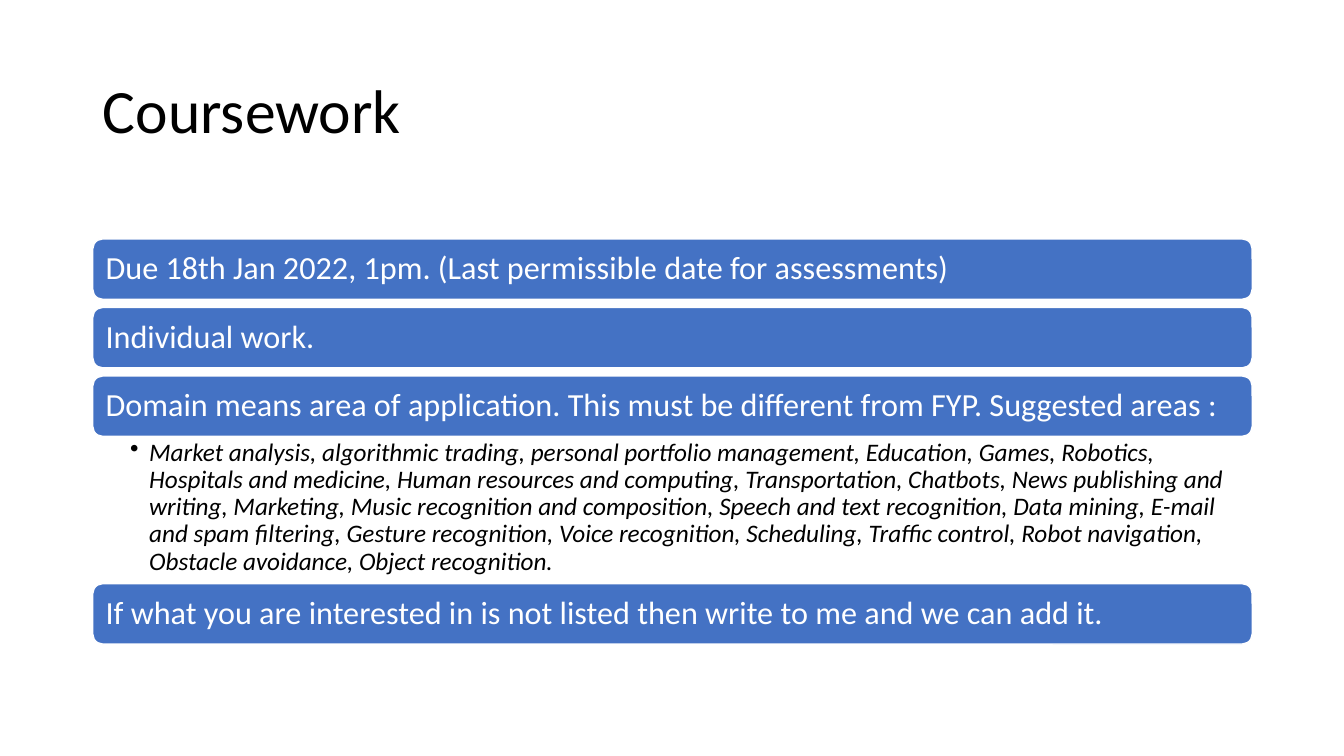
import dataclasses

import lxml.etree
import pptx
import pptx.dml.color
import pptx.enum.shapes
import pptx.enum.text
import pptx.oxml.ns
import pptx.util

Inches = pptx.util.Inches
Anchor = pptx.enum.text.MSO_ANCHOR
Align = pptx.enum.text.PP_ALIGN


@dataclasses.dataclass(frozen=True)
class Theme:
    font: str = "Calibri"
    black: str = "000000"
    white: str = "FFFFFF"
    blue: str = "4472C4"
    title_size: int = 44
    bar_size: int = 23
    detail_size: int = 18


THEME = Theme()
LEFT, WIDTH = 0.92, 11.5
BARS_TOP, BAR_HEIGHT, BAR_GAP = 2.37, 0.6, 0.08
DETAIL_HEIGHT = 1.46

# Each entry is a bar heading and the detail listed below it, if any.
ENTRIES = [
    ("Due 18th Jan 2022, 1pm. (Last permissible date for assessments)", None),
    ("Individual work.", None),
    (
        "Domain means area of application. This must be different from FYP. Suggested areas :",
        "Market analysis, algorithmic trading, personal portfolio management, Education, "
        "Games, Robotics, Hospitals and medicine, Human resources and computing, "
        "Transportation, Chatbots, News publishing and writing, Marketing, Music recognition "
        "and composition, Speech and text recognition, Data mining, E-mail and spam filtering, "
        "Gesture recognition, Voice recognition, Scheduling, Traffic control, Robot navigation, "
        "Obstacle avoidance, Object recognition.",
    ),
    ("If what you are interested in is not listed then write to me and we can add it.", None),
]


def set_attributes(target, values):
    for name, value in values.items():
        setattr(target, name, value)


def write_text(shape, text, size, color, anchor, insets, italic=False):
    """Fill a shape with one left-aligned paragraph; insets are left, top, right, bottom."""
    frame = shape.text_frame
    sides = ("margin_left", "margin_top", "margin_right", "margin_bottom")
    set_attributes(frame, {
        "text": text,
        "word_wrap": True,
        "auto_size": pptx.enum.text.MSO_AUTO_SIZE.NONE,
        "vertical_anchor": anchor,
        **dict(zip(sides, map(Inches, insets))),
    })
    paragraph = frame.paragraphs[0]
    set_attributes(paragraph, {"alignment": Align.LEFT, "line_spacing": 0.9})
    font = paragraph.runs[0].font
    set_attributes(font, {"name": THEME.font, "size": pptx.util.Pt(size), "italic": italic})
    font.color.rgb = pptx.dml.color.RGBColor.from_string(color)
    return paragraph


def add_title(slide, text, left, top, width, height):
    title = slide.shapes.title
    set_attributes(title, {
        "left": Inches(left), "top": Inches(top),
        "width": Inches(width), "height": Inches(height),
    })
    write_text(title, text, THEME.title_size, THEME.black, Anchor.MIDDLE, (0.1, 0.05, 0.1, 0.05))


def add_bar(slide, text, left, top, width, height):
    bar = slide.shapes.add_shape(
        pptx.enum.shapes.MSO_SHAPE.ROUNDED_RECTANGLE,
        Inches(left), Inches(top), Inches(width), Inches(height),
    )
    bar.shadow.inherit = False
    bar.fill.solid()
    bar.fill.fore_color.rgb = pptx.dml.color.RGBColor.from_string(THEME.blue)
    bar.line.color.rgb = pptx.dml.color.RGBColor.from_string(THEME.white)
    bar.line.width = pptx.util.Pt(1)
    write_text(bar, text, THEME.bar_size, THEME.white, Anchor.MIDDLE, (0.1, 0.05, 0.1, 0.05))


def add_detail(slide, text, left, top, width, height):
    box = slide.shapes.add_textbox(Inches(left), Inches(top), Inches(width), Inches(height))
    paragraph = write_text(
        box, text, THEME.detail_size, THEME.black, Anchor.TOP, (0.37, 0.03, 0.18, 0.03), italic=True
    )
    paragraph.level = 1
    properties = paragraph._p.get_or_add_pPr()
    properties.set("marL", str(Inches(0.19)))
    properties.set("indent", str(Inches(-0.19)))
    bullet = lxml.etree.SubElement(properties, pptx.oxml.ns.qn("a:buChar"))
    bullet.set("char", "•")


def add_entries(slide, entries, left, top, width):
    """Stack the bars downwards, a detail sitting directly between two bars."""
    for heading, detail in entries:
        add_bar(slide, heading, left, top, width, BAR_HEIGHT)
        top += BAR_HEIGHT
        if detail:
            add_detail(slide, detail, left, top, width, DETAIL_HEIGHT)
            top += DETAIL_HEIGHT
        else:
            top += BAR_GAP


def main():
    presentation = pptx.Presentation()
    set_attributes(presentation, {"slide_width": Inches(13.33), "slide_height": Inches(7.5)})
    slide = presentation.slides.add_slide(presentation.slide_layouts[5])
    add_title(slide, "Coursework", LEFT, 0.4, WIDTH, 1.45)
    add_entries(slide, ENTRIES, LEFT, BARS_TOP, WIDTH)
    presentation.save("out.pptx")


if __name__ == "__main__":
    main()
